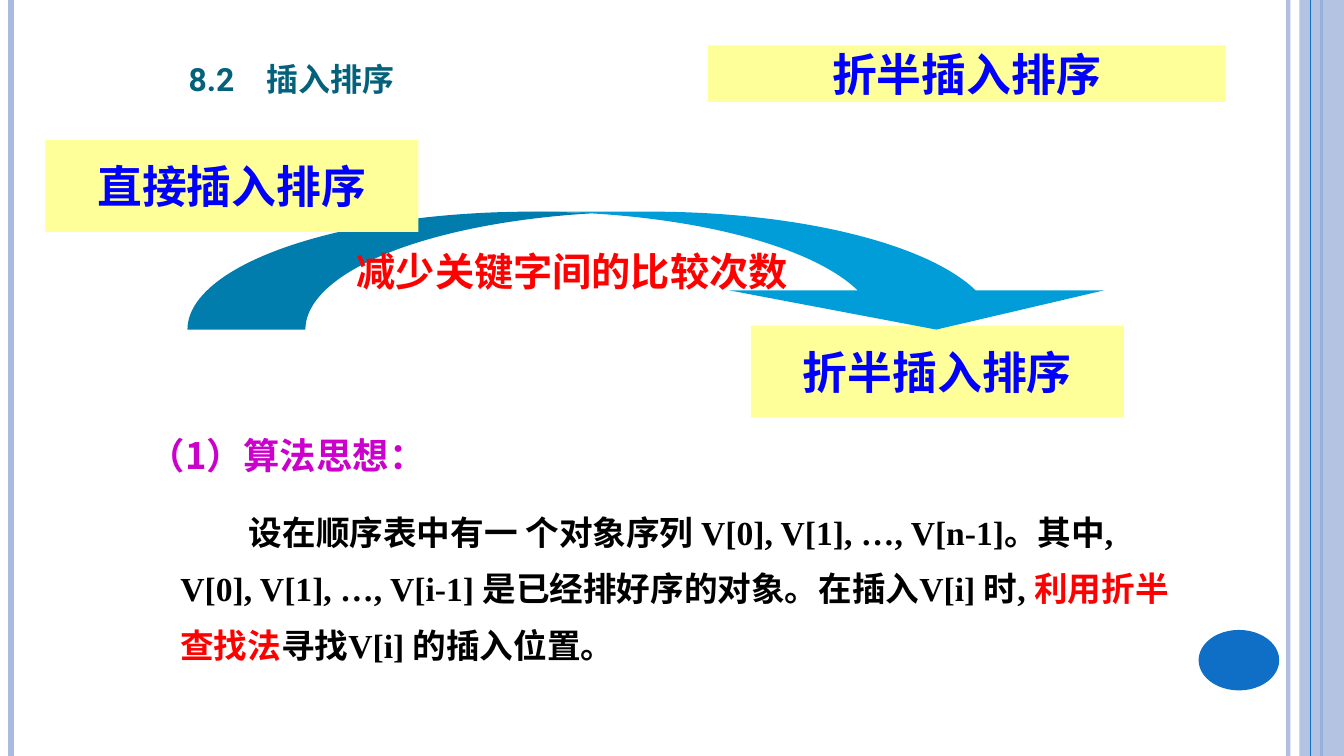
from lxml import etree
from pptx import Presentation
from pptx.dml.color import RGBColor
from pptx.enum.shapes import MSO_CONNECTOR, MSO_SHAPE
from pptx.enum.text import MSO_ANCHOR, MSO_AUTO_SIZE, PP_ALIGN
from pptx.oxml.ns import qn
from pptx.util import Inches, Pt

RECT, OVAL, ARROW = MSO_SHAPE.RECTANGLE, MSO_SHAPE.OVAL, MSO_SHAPE.CURVED_DOWN_ARROW
STRAIGHT = MSO_CONNECTOR.STRAIGHT
MIDDLE, BOTTOM, TOP = MSO_ANCHOR.MIDDLE, MSO_ANCHOR.BOTTOM, MSO_ANCHOR.TOP
LEFT, CENTER = PP_ALIGN.LEFT, PP_ALIGN.CENTER
FIXED = MSO_AUTO_SIZE.NONE

THEME = {
    "rail": "ABBBDF", "blue": "0F6FC6", "sky": "009DD9", "pale": "FFFF99",
    "teal": "04617B", "ink": "0000FF", "red": "FF0000", "plum": "CC00CC", "black": "000000",
    "title": 28.5, "box": 32, "note": 28, "head": 26, "body": 24,
    "sans": "Noto Sans CJK SC", "arial": "Arial", "roboto": "Roboto", "serif": "Times New Roman",
}

deck = Presentation()
deck.slide_width, deck.slide_height = Inches(13.33), Inches(7.5)
slide = deck.slides.add_slide(deck.slide_layouts[5])
shapes = slide.shapes


def span(x, y, w, h):
    """Turn percent shares of the slide into lengths."""
    wide, high = deck.slide_width / 100, deck.slide_height / 100
    return [int(n) for n in (x * wide, y * high, w * wide, h * high)]


def write(shape, *parts, size="box", font="sans", align=LEFT, anchor=TOP,
          wrap=True, inset=0.1, indent=0, lines=1.0, caps=False):
    """Fill a shape with one paragraph of (text, colour) parts."""
    frame = shape.text_frame
    frame.auto_size, frame.word_wrap = FIXED, wrap
    frame.vertical_anchor, frame.margin_left = anchor, Inches(inset)
    para = frame.paragraphs[0]
    para.alignment, para.line_spacing = align, lines
    if indent:
        para._p.get_or_add_pPr().set("indent", str(Inches(indent)))
    for text, color in parts:
        run = para.add_run()
        run.text = text
        run.font.size, run.font.bold = Pt(THEME[size]), True
        run.font.color.rgb = RGBColor.from_string(THEME[color])
        run.font.name = THEME[font]
        props = run._r.get_or_add_rPr()
        etree.SubElement(props, qn("a:ea")).set("typeface", THEME["sans"])
        if caps:
            props.set("cap", "small")


# Side rails: x share, colour, width, opacity; the strip lies over the first three
rails = [(95.85, "rail", 3, 93), (0.83, "rail", 4.5, 100),
         (98.33, "blue", 1.5, 100), (97.5, "blue", 0.75, 100)]
for x, color, width, alpha in rails:
    left, top, _, high = span(x, 0, 0, 100)
    rail = shapes.add_connector(STRAIGHT, left, top, left, high)
    rail.line.width = Pt(width)
    rail.line.color.rgb = RGBColor.from_string(THEME[color])
    etree.SubElement(rail._element.spPr, qn("a:effectLst"))
    if alpha < 100:
        tint = rail._element.spPr.find(".//" + qn("a:srgbClr"))
        etree.SubElement(tint, qn("a:alpha")).set("val", str(alpha * 1000))
last = rail

# Filled shapes, from back to front: kind, place, fill, text, format
boxed = {"align": CENTER, "font": "arial"}
blocks = [
    (RECT, (96.68, 0, 3.32, 100), "rail", "", {}),
    (OVAL, (89.18, 83.33, 6, 8), "blue", "", {}),
    (RECT, (55.88, 43.07, 27.75, 12.13), "pale", "折半插入排序", boxed),
    (ARROW, (13.95, 28, 69.68, 15.6), "sky", "减少关键字间的比较次数",
     {"size": "note", "wrap": False, "inset": 1.68}),
    (RECT, (3.38, 18.53, 27.75, 12.13), "pale", "直接插入排序", boxed),
    (RECT, (52.65, 6, 38.55, 7.47), "pale", "折半插入排序", {"align": CENTER}),
]
for kind, place, fill, text, style in blocks:
    block = shapes.add_shape(kind, *span(*place))
    block.shadow.inherit = False
    block.fill.solid()
    block.fill.fore_color.rgb = RGBColor.from_string(THEME[fill])
    block.line.fill.background()
    if fill == "rail":
        tint = block._element.spPr.find(".//" + qn("a:srgbClr"))
        etree.SubElement(tint, qn("a:alpha")).set("val", "87000")
        last._element.addprevious(block._element)
    if kind == ARROW:
        for i, share in enumerate((1.149, 3.181, 0.333)):
            block.adjustments[i] = share
    if text:
        color = "red" if kind == ARROW else "ink"
        write(block, (text, color), anchor=MIDDLE, **style)

# Title
title = shapes.title
title.left, title.top, title.width, title.height = span(13.28, 5.73, 33.45, 8.13)
write(title, ("8.2　插入排序", "teal"), size="title", font="roboto", anchor=BOTTOM, caps=True)

# Heading and explanation
head = shapes.add_textbox(*span(10.2, 56.67, 22.35, 7.2))
write(head, ("（1）算法思想：", "plum"), size="head", align=CENTER, wrap=False)

body = shapes.add_textbox(*span(12.68, 64.93, 75.53, 24))
write(body,
      ("设在顺序表中有一 个对象序列 V[0], V[1], …, V[n-1]。其中, "
       "V[0], V[1], …, V[i-1] 是已经排好序的对象。在插入V[i] 时, ", "black"),
      ("利用折半查找法", "red"),
      ("寻找V[i] 的插入位置。", "black"),
      size="body", font="serif", indent=0.68, lines=1.4)

deck.save("out.pptx")
